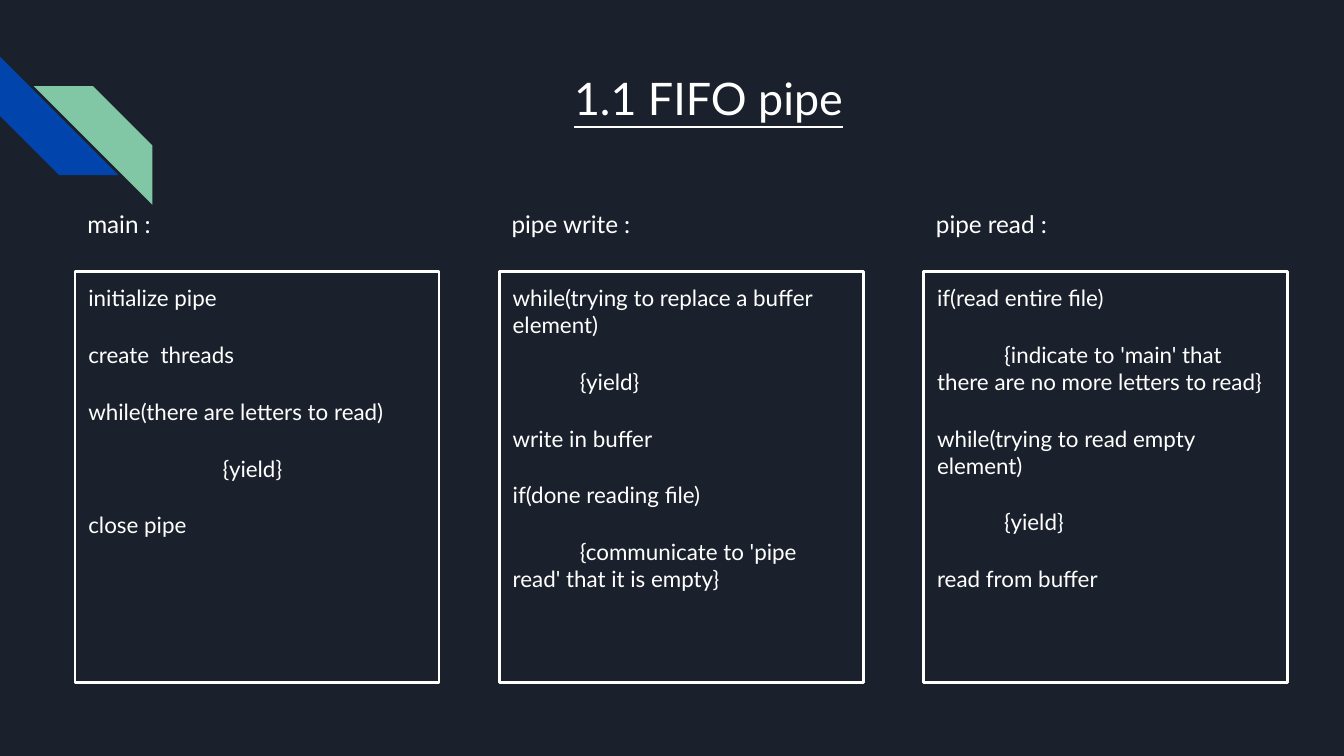
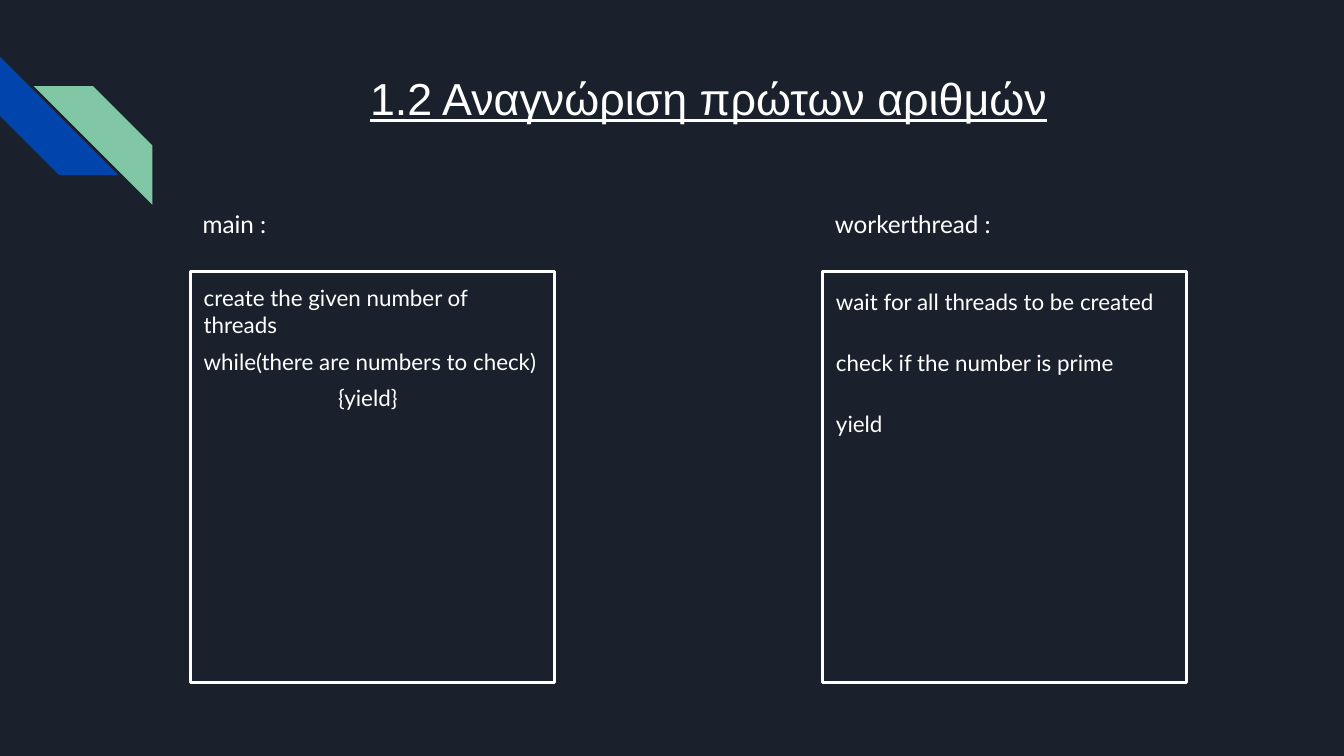
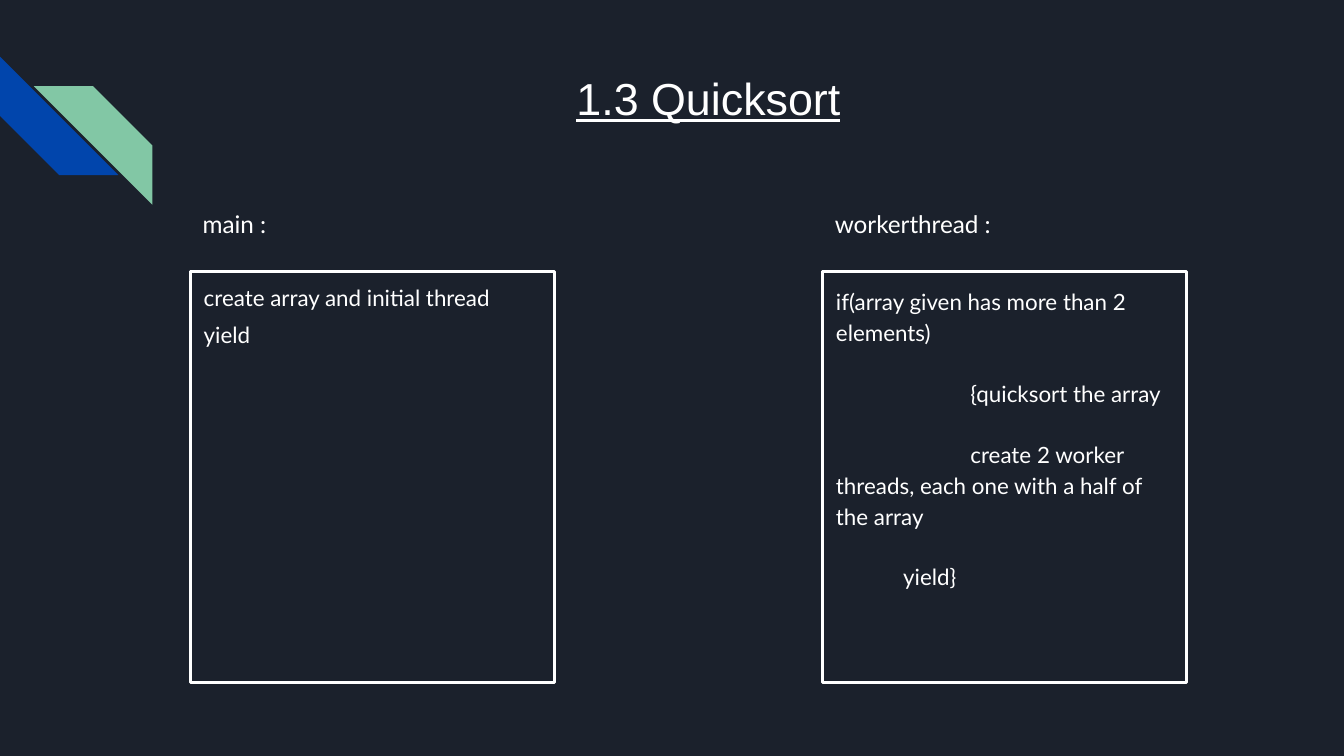
import pptx
import pptx.util
import pptx.dml.color
import pptx.enum.shapes
import pptx.enum.text

Cm = pptx.util.Cm
Pt = pptx.util.Pt
RGBColor = pptx.dml.color.RGBColor
SHAPE = pptx.enum.shapes.MSO_SHAPE
ALIGN = pptx.enum.text.PP_ALIGN
ANCHOR = pptx.enum.text.MSO_ANCHOR

# Shared look
NAVY = RGBColor(0x1B, 0x21, 0x2C)
BLUE = RGBColor(0x01, 0x45, 0xAC)
GREEN = RGBColor(0x82, 0xC7, 0xA5)
WHITE = RGBColor(0xFF, 0xFF, 0xFF)
BODY = "Lato"
INSET = Cm(0.25)
TAB = 1.27  # cm, one step of code indent
THREE = [1.42 + 8.02 * i for i in range(3)]
TWO = [3.6, 15.55]

# Each slide: title, title font, card lefts, cards.
# Each card: label, space before (pt), line spacing, (indent steps, text) lines.
SLIDES = [
    ("1.1 FIFO pipe", BODY, THREE, [
        ("main :", 16, 1.0, [
            (0, "initialize pipe"),
            (0, "create  threads"),
            (0, "while(there are letters to read)"),
            (2, "{yield}"),
            (0, "close pipe")]),
        ("pipe write :", 16, 1.0, [
            (0, "while(trying to replace a buffer element)"),
            (1, "{yield}"),
            (0, "write in buffer"),
            (0, "if(done reading file)"),
            (1, "{communicate to 'pipe read' that it is empty}")]),
        ("pipe read :", 16, 1.0, [
            (0, "if(read entire file)"),
            (1, "{indicate to 'main' that there are no more letters to read}"),
            (0, "while(trying to read empty element)"),
            (1, "{yield}"),
            (0, "read from buffer")]),
    ]),
    ("1.2 Αναγνώριση πρώτων αριθμών", "Arial", TWO, [
        ("main :", 5, 1.0, [
            (0, "create the given number of threads"),
            (0, "while(there are numbers to check)"),
            (2, "{yield}")]),
        ("workerthread :", 16, 1.15, [
            (0, "wait for all threads to be created"),
            (0, "check if the number is prime"),
            (0, "yield")]),
    ]),
    ("1.3 Quicksort", "Arial", TWO, [
        ("main :", 5, 1.0, [
            (0, "create array and initial thread"),
            (0, "yield")]),
        ("workerthread :", 16, 1.15, [
            (0, "if(array given has more than 2 elements)"),
            (2, "{quicksort the array"),
            (2, "create 2 worker threads, each one with a half of the array"),
            (1, "yield}")]),
    ]),
]


def set_frame(frame):
    frame.word_wrap = True
    frame.vertical_anchor = ANCHOR.TOP
    frame.margin_left = frame.margin_right = INSET
    frame.margin_top = frame.margin_bottom = INSET


def style(para, text, size, name=BODY, align=ALIGN.LEFT):
    para.text = text
    para.alignment = align
    para.font.size = Pt(size)
    para.font.name = name
    para.font.color.rgb = WHITE


def add_text(slide, box, text, size, name=BODY, align=ALIGN.LEFT):
    frame = slide.shapes.add_textbox(*map(Cm, box)).text_frame
    set_frame(frame)
    para = frame.paragraphs[0]
    style(para, text, size, name, align)
    return para


def add_stripe(slide, left, top, color):
    stripe = slide.shapes.add_shape(
        SHAPE.DIAGONAL_STRIPE, Cm(left), Cm(top), Cm(2.24), Cm(2.24))
    stripe.shadow.inherit = False
    stripe.fill.solid()
    stripe.fill.fore_color.rgb = color
    stripe.line.fill.background()
    return stripe


def add_decor(slide):
    add_stripe(slide, 0, 1.07, BLUE).rotation = 270
    green = add_stripe(slide, 0.64, 1.63, GREEN)
    green._element.spPr.get_or_add_xfrm().set("flipH", "1")


def add_title(slide, text, name):
    para = add_text(slide, (3.61, 1.09, 19.56, 2.54), text, 24, name,
                    ALIGN.CENTER)
    para.font.underline = True


def add_card(slide, left, label, gap, pitch, lines):
    # Label above the frame
    head = add_text(slide, (left - 0.02, 3.63, 6.93, 1.27), label, 13)
    head.line_spacing = 1.15

    # Framed code
    card = slide.shapes.add_shape(
        SHAPE.RECTANGLE, Cm(left), Cm(5.13), Cm(6.88), Cm(7.77))
    card.shadow.inherit = False
    card.fill.background()
    card.line.color.rgb = WHITE
    card.line.width = Pt(1.5)
    frame = card.text_frame
    set_frame(frame)
    for i, (steps, text) in enumerate(lines):
        para = frame.add_paragraph() if i else frame.paragraphs[0]
        style(para, text, 12)
        para.line_spacing = pitch
        para.space_before = Pt(gap if i else 0)
        # Only the first line of a paragraph is indented
        para._p.get_or_add_pPr().set("indent", str(Cm(TAB * steps)))


def main():
    deck = pptx.Presentation()
    deck.slide_width = Cm(25.4)
    deck.slide_height = Cm(14.29)
    for title, name, lefts, cards in SLIDES:
        slide = deck.slides.add_slide(deck.slide_layouts[6])
        slide.background.fill.solid()
        slide.background.fill.fore_color.rgb = NAVY
        add_decor(slide)
        add_title(slide, title, name)
        for left, card in zip(lefts, cards):
            add_card(slide, left, *card)
    deck.save("out.pptx")


if __name__ == "__main__":
    main()
